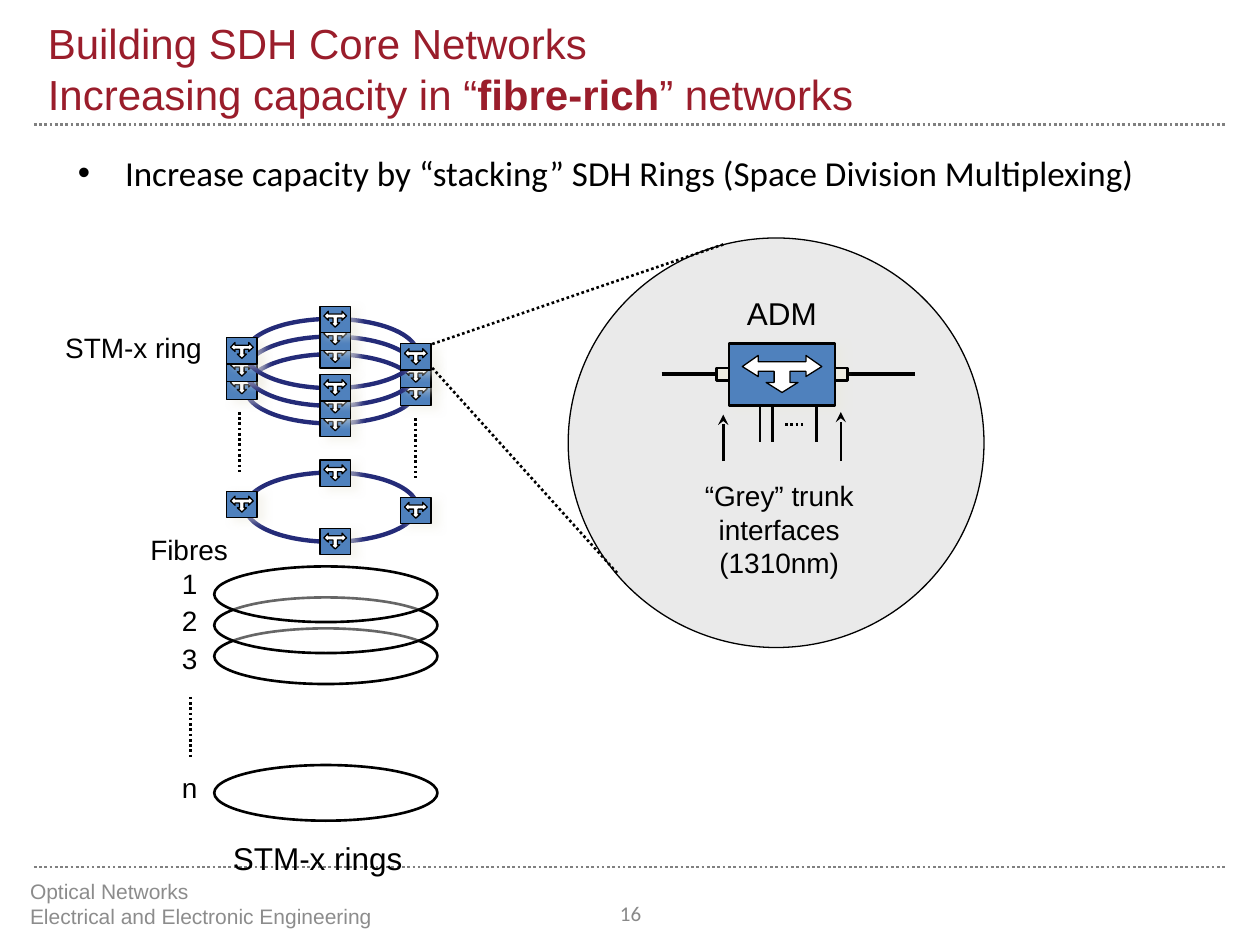
from lxml.etree import SubElement
from pptx import Presentation
from pptx.dml.color import RGBColor
from pptx.enum.dml import MSO_LINE_DASH_STYLE as DASH
from pptx.enum.shapes import MSO_CONNECTOR as CONN, MSO_SHAPE as SHAPE
from pptx.enum.text import MSO_ANCHOR as ANCHOR, PP_ALIGN as ALIGN
from pptx.oxml.ns import qn
from pptx.util import Pt

COLORS = {
    "title": "9A1D2B", "text": "000000", "footer": "8C8C8C", "number": "898989",
    "rule": "808080", "ring": "242B78", "node": "4F81BD", "white": "FFFFFF",
    "lens": "EAEAEA", "port": "EEECE1", "shadow": "EEECE1",
}
RING_LEFT, RING_W, RING_H = 140.4, 98, 39.6
NODE_W, NODE_H = 17.3, 15.1
NODE_OFFSETS = [(42.5, 31.8), (-10.8, 10.7), (42.5, -7.2), (88.6, 14.2)]
# Left half of the three-way arrow, as fractions of its width and height
ARROW_HALF = [(0.5, 1), (0.3, 0.73), (0.4, 0.73), (0.4, 0.43), (0.2, 0.43),
              (0.2, 0.57), (0, 0.3), (0.2, 0), (0.2, 0.17)]


def rgb(name):
    return RGBColor.from_string(COLORS[name])


def style(sp, fill, line, width, alpha=None):
    sp.shadow.inherit = False
    if fill:
        sp.fill.solid()
        sp.fill.fore_color.rgb = rgb(fill)
    else:
        sp.fill.background()
    if alpha:
        color = sp._element.spPr.find(qn("a:solidFill"))[0]
        SubElement(color, qn("a:alpha"), val=str(alpha * 1000))
    sp.line.color.rgb = rgb(line)
    sp.line.width = Pt(width)
    return sp


def shape(s, kind, x, y, w, h, fill=None, line="text", width=0.75, alpha=None):
    sp = s.shapes.add_shape(kind, Pt(x), Pt(y), Pt(w), Pt(h))
    return style(sp, fill, line, width, alpha)


def line(s, x1, y1, x2, y2, color="text", width=1.5, dotted=False, arrow=False):
    c = s.shapes.add_connector(CONN.STRAIGHT, Pt(x1), Pt(y1), Pt(x2), Pt(y2))
    c.line.color.rgb = rgb(color)
    c.line.width = Pt(width)
    if dotted:
        c.line.dash_style = DASH.ROUND_DOT
    if arrow:
        SubElement(c.line._get_or_add_ln(), qn("a:tailEnd"), type="stealth")
    SubElement(c._element.spPr, qn("a:effectLst"))


def text(s, content, x, y, w, h, size=16, font="Arial", color="text",
         align=ALIGN.CENTER, anchor=ANCHOR.TOP, bullet=False):
    """Add a text box; ** switches bold and a newline breaks the line."""
    tf = s.shapes.add_textbox(Pt(x), Pt(y), Pt(w), Pt(h)).text_frame
    tf.word_wrap = True
    tf.vertical_anchor = anchor
    p = tf.paragraphs[0]
    p.alignment = align
    if bullet:
        pPr = p._p.get_or_add_pPr()
        pPr.set("marL", str(Pt(27)))
        pPr.set("indent", str(-Pt(27)))
        SubElement(pPr, qn("a:buFont"), typeface="Arial")
        SubElement(pPr, qn("a:buChar"), char="•")
    for i, part in enumerate(content.split("**")):
        for j, piece in enumerate(part.split("\n")):
            if j:
                p.add_line_break()
            r = p.add_run()
            r.text = piece
            r.font.name, r.font.size = font, Pt(size)
            r.font.bold = i % 2 == 1
            r.font.color.rgb = rgb(color)


def add_drop(s, x, y, w, h, width=0.75):
    """Draw an add-drop multiplexer: a shadowed box with a three-way arrow."""
    box = shape(s, SHAPE.RECTANGLE, x, y, w, h, "node", width=width)
    effects = box._element.spPr.find(qn("a:effectLst"))
    shadow = SubElement(effects, qn("a:outerShdw"), blurRad=str(Pt(5)),
                        dist=str(Pt(4.5)), dir=str(28 * 60000),
                        algn="ctr", rotWithShape="0")
    color = SubElement(shadow, qn("a:srgbClr"), val=COLORS["shadow"])
    SubElement(color, qn("a:alpha"), val="50000")

    outline = ARROW_HALF + [(1 - u, v) for u, v in ARROW_HALF[:0:-1]]
    points = [(Pt(x + w * (0.125 + 0.75 * u)), Pt(y + h * (0.19 + 0.6 * v)))
              for u, v in outline]
    builder = s.shapes.build_freeform(*points[0])
    builder.add_line_segments(points[1:], close=True)
    style(builder.convert_to_shape(), "white", "text", 0.75)


def ring(s, top):
    shape(s, SHAPE.OVAL, RING_LEFT, top, RING_W, RING_H, line="ring", width=2.5)
    for dx, dy in NODE_OFFSETS:
        add_drop(s, RING_LEFT + dx, top + dy, NODE_W, NODE_H)


def fibre(s, top, label, label_top):
    shape(s, SHAPE.OVAL, 122.4, top, 127.6, 31.8, "white", width=1.5, alpha=40)
    text(s, label, 83.5, label_top, 49.7, 26.6)


def ring_stack(s):
    for i in (2, 1, 0):
        ring(s, 182.2 + 10.1 * i)
        fibre(s, 323.7 + 17.7 * i, str(i + 1), 320.4 + 21.2 * i)
    ring(s, 270)
    fibre(s, 437.2, "n", 437)
    for x, y1, y2 in [(108.7, 398.2, 433.4), (136.8, 235.4, 270), (237.6, 239, 273)]:
        line(s, x, y1, x, y2, dotted=True)
    text(s, "Fibres", 72.7, 301, 70.6, 26.6)
    text(s, "STM-x ring", 23, 185, 106.6, 26.6, anchor=ANCHOR.MIDDLE)
    text(s, "STM-x rings", 126, 476, 124, 28.8, size=18, align=ALIGN.LEFT)


def multiplexer_detail(s):
    shape(s, SHAPE.OVAL, 324.7, 136, 237.6, 234, "lens")
    line(s, 378, 213.8, 522.7, 213.8, width=2.25)
    add_drop(s, 416.6, 196.4, 60.6, 35.3, width=1.5)
    for x in (409.5, 477.2):
        shape(s, SHAPE.RECTANGLE, x, 210.3, 7.1, 7.1, "port", width=1.5)
    text(s, "ADM", 409.7, 164.2, 74.2, 28.8, size=18)
    text(s, "“Grey” trunk interfaces (1310nm)", 378, 270, 134.6, 64.8)
    for x, tip in [(413.3, 237), (480.5, 235.4)]:
        line(s, x, 263.5, x, tip, arrow=True)
    for x in (434.2, 441.4, 466.6):
        line(s, x, 231.8, x, 252.7)
    line(s, 448.6, 242.6, 459.4, 242.6, dotted=True)
    line(s, 247, 196.6, 413.3, 139.7, dotted=True)
    line(s, 247, 210.2, 352.8, 327.6, dotted=True)


def page_text(s):
    for y in (71.3, 495.4):
        line(s, 19.4, y, 700.6, y, color="rule", dotted=True)
    text(s, "Building SDH Core Networks\nIncreasing capacity in “**fibre-rich**” networks",
         20.2, 0, 680.4, 71.3, size=24, color="title", align=ALIGN.LEFT,
         anchor=ANCHOR.BOTTOM)
    text(s, "Increase capacity by “stacking” SDH Rings (Space Division Multiplexing)",
         37.4, 82.8, 648, 81.4, size=20, font="Calibri", align=ALIGN.LEFT, bullet=True)
    text(s, "Optical Networks\nElectrical and Electronic Engineering",
         10.1, 501.8, 304.6, 28.8, size=12, color="footer", align=ALIGN.LEFT,
         anchor=ANCHOR.MIDDLE)
    text(s, "16", 331.9, 507.6, 56.9, 28.8, size=12, font="Calibri", color="number",
         anchor=ANCHOR.MIDDLE)


def main():
    prs = Presentation()
    prs.slide_width, prs.slide_height = Pt(720), Pt(540)
    s = prs.slides.add_slide(prs.slide_layouts[6])
    page_text(s)
    ring_stack(s)
    multiplexer_detail(s)
    prs.save("out.pptx")


if __name__ == "__main__":
    main()
